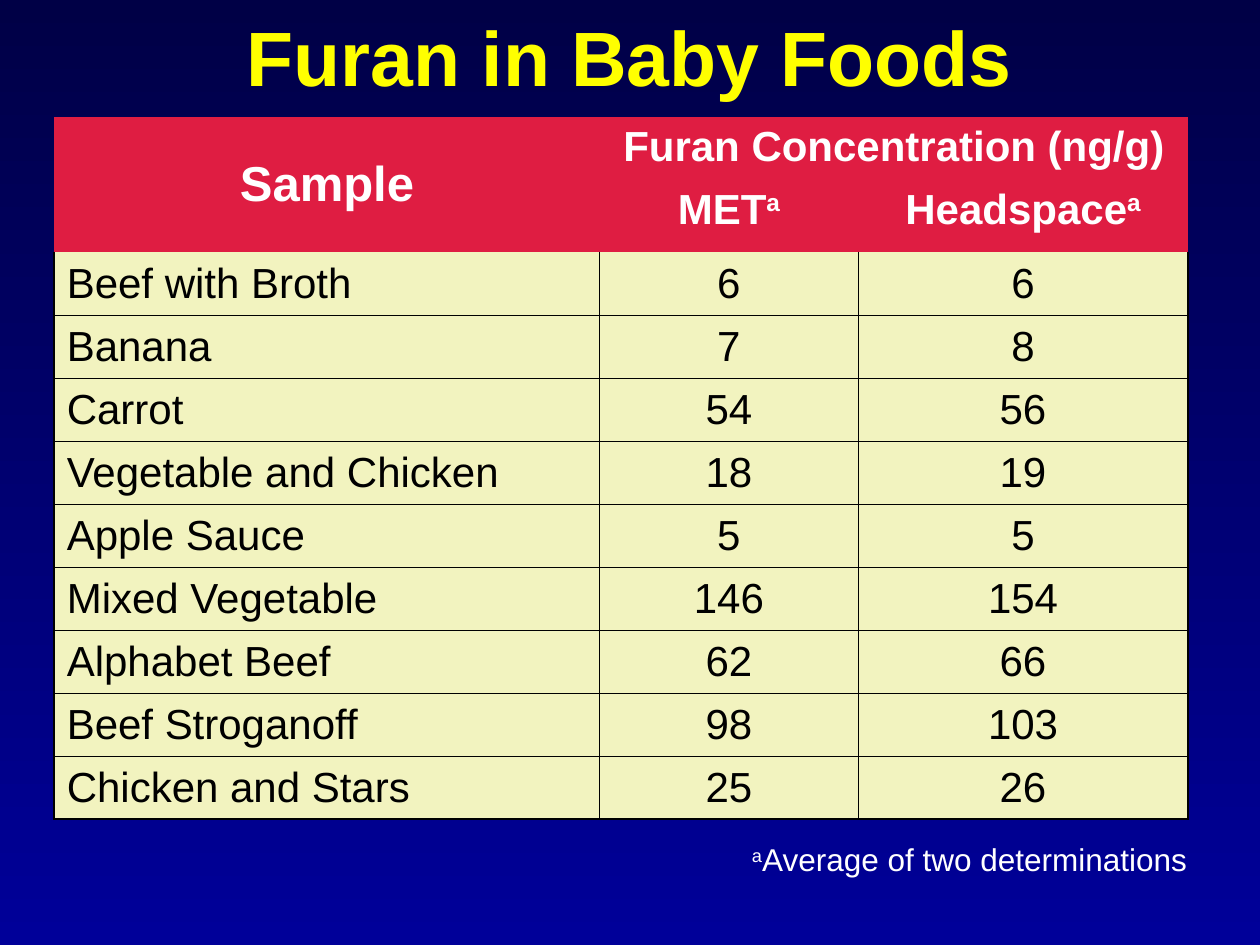
from dataclasses import dataclass

from pptx import Presentation
from pptx.dml.color import RGBColor
from pptx.enum.text import MSO_ANCHOR, PP_ALIGN
from pptx.oxml import parse_xml
from pptx.oxml.ns import nsdecls
from pptx.util import Inches, Pt


@dataclass(frozen=True)
class Theme:
    font: str = "Arial"
    bg_top: str = "000046"
    bg_bottom: str = "000099"
    title: str = "FFFF00"
    light: str = "FFFFFF"
    dark: str = "000000"
    header: str = "DF1D42"
    body: str = "F2F3BF"
    title_size: int = 44
    sample_size: int = 28
    table_size: int = 24
    note_size: int = 18
    outer_line: float = 1.08
    inner_line: float = 0.45


T = Theme()

TITLE = "Furan in Baby Foods"
SAMPLE, CONCENTRATION = "Sample", "Furan Concentration (ng/g)"
METHODS = ["MET", "Headspace"]
MARK = "a"
NOTE = "Average of two determinations"
FOODS = [
    ("Beef with Broth", 6, 6),
    ("Banana", 7, 8),
    ("Carrot", 54, 56),
    ("Vegetable and Chicken", 18, 19),
    ("Apple Sauce", 5, 5),
    ("Mixed Vegetable", 146, 154),
    ("Alphabet Beef", 62, 66),
    ("Beef Stroganoff", 98, 103),
    ("Chicken and Stars", 25, 26),
]

HEADER_ROWS = 2
COLS = [4.33, 2.05, 2.62]
ROWS = [0.5, 0.57] + [0.5] * len(FOODS)


def box(*inches):
    return [Inches(v) for v in inches]


def add_run(p, text, size, color, bold=False, raised=False):
    r = p.add_run()
    r.text = text
    formats = {"name": T.font, "size": Pt(size), "bold": bold}
    for name, value in formats.items():
        setattr(r.font, name, value)
    r.font.color.rgb = RGBColor.from_string(color)
    if raised:
        r._r.get_or_add_rPr().set("baseline", "30000")


def set_borders(cell, widths):
    """Set left, right, top and bottom lines; a width of 0 means no line."""
    tc_pr = cell._tc.get_or_add_tcPr()
    for i, (side, width) in enumerate(zip("LRTB", widths)):
        paint = (f'<a:solidFill><a:srgbClr val="{T.dark}"/></a:solidFill>'
                 if width else "<a:noFill/>")
        tc_pr.insert(i, parse_xml(
            f'<a:ln{side} {nsdecls("a")} w="{int(Pt(width))}">{paint}</a:ln{side}>'))


def fill_cell(cell, text, color, fill, borders, size=T.table_size, bold=False,
              align=PP_ALIGN.CENTER, anchor=MSO_ANCHOR.MIDDLE, mark=""):
    cell.fill.solid()
    cell.fill.fore_color.rgb = RGBColor.from_string(fill)
    set_borders(cell, borders)
    cell.vertical_anchor = anchor
    p = cell.text_frame.paragraphs[0]
    p.alignment = align
    if text:
        add_run(p, text, size, color, bold)
    if mark:
        add_run(p, mark, size, color, bold, raised=True)


def add_title(s):
    sp = s.shapes.title
    sp.left, sp.top, sp.width, sp.height = box(0.5, -0.18, 9, 1.25)
    tf = sp.text_frame
    tf.vertical_anchor = MSO_ANCHOR.MIDDLE
    p = tf.paragraphs[0]
    p.alignment = PP_ALIGN.CENTER
    add_run(p, TITLE, T.title_size, T.title, bold=True)


def add_food_table(s):
    frame = s.shapes.add_table(len(ROWS), len(COLS),
                               *box(0.43, 0.93, sum(COLS), sum(ROWS)))
    table = frame.table
    table.first_row = table.horz_banding = False
    for col, width in zip(table.columns, COLS):
        col.width = Inches(width)
    for row, height in zip(table.rows, ROWS):
        row.height = Inches(height)
    table.cell(0, 0).merge(table.cell(1, 0))
    table.cell(0, 1).merge(table.cell(0, 2))

    top = MSO_ANCHOR.TOP
    headings = [
        [(SAMPLE, {"size": T.sample_size}), (CONCENTRATION, {"anchor": top}), ("", {})],
        [("", {})] + [(m, {"anchor": top, "mark": MARK}) for m in METHODS],
    ]
    for i, heading in enumerate(headings):
        for j, (text, formats) in enumerate(heading):
            fill_cell(table.cell(i, j), text, T.light, T.header, [0] * 4,
                      bold=True, **formats)

    last_row, last_col = len(ROWS) - 1, len(COLS) - 1
    for i, food in enumerate(FOODS, HEADER_ROWS):
        for j, value in enumerate(food):
            borders = [
                T.inner_line if j else T.outer_line,
                T.outer_line if j == last_col else T.inner_line,
                T.inner_line if i > HEADER_ROWS else 0,
                T.outer_line if i == last_row else T.inner_line,
            ]
            fill_cell(table.cell(i, j), str(value), T.dark, T.body, borders,
                      align=PP_ALIGN.CENTER if j else PP_ALIGN.LEFT)


def add_note(s):
    tf = s.shapes.add_textbox(*box(5.87, 6.62, 4.1, 0.4)).text_frame
    tf.word_wrap = True
    p = tf.paragraphs[0]
    add_run(p, MARK, T.note_size, T.light, raised=True)
    add_run(p, NOTE, T.note_size, T.light)


def main():
    prs = Presentation()
    prs.slide_width, prs.slide_height = box(10, 7.5)
    s = prs.slides.add_slide(prs.slide_layouts[5])
    fill = s.background.fill
    fill.gradient()
    fill.gradient_angle = 270
    for stop, color in zip(fill.gradient_stops, (T.bg_top, T.bg_bottom)):
        stop.color.rgb = RGBColor.from_string(color)
    add_title(s)
    add_food_table(s)
    add_note(s)
    prs.save("out.pptx")


if __name__ == "__main__":
    main()
